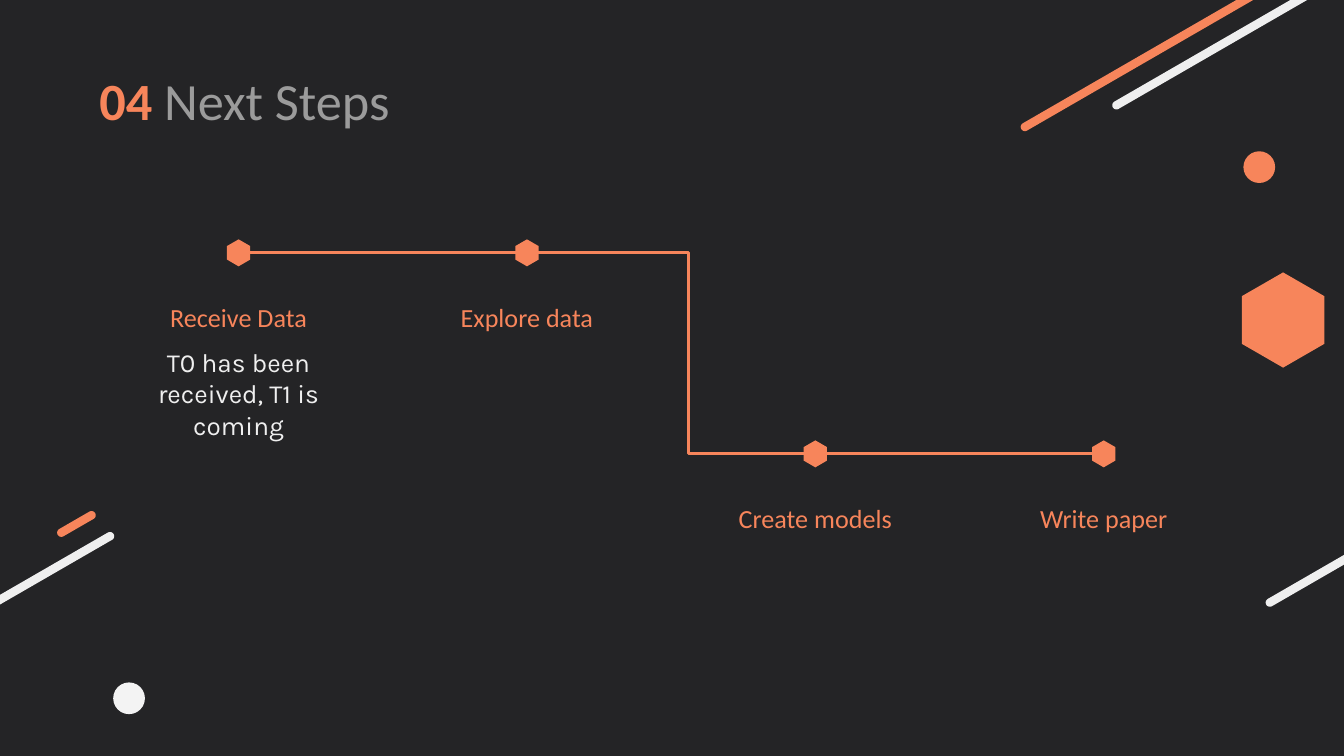
from dataclasses import dataclass
from math import cos, pi, sin

from lxml.etree import SubElement
from pptx import Presentation
from pptx.dml.color import RGBColor
from pptx.enum.shapes import MSO_CONNECTOR as Link, MSO_SHAPE as Preset
from pptx.enum.text import MSO_ANCHOR as Anchor, PP_ALIGN as Align
from pptx.oxml.ns import qn
from pptx.shapes.autoshape import Shape
from pptx.slide import Slide
from pptx.text.text import TextFrame, _Paragraph as Paragraph
from pptx.util import Cm, Pt

DARK = RGBColor(0x24, 0x24, 0x26)
ORANGE = RGBColor(0xF7, 0x85, 0x5B)
GREY = RGBColor(0x9B, 0x9B, 0x9B)
LIGHT = RGBColor(0xEF, 0xEF, 0xEF)
PALE = RGBColor(0xF3, 0xF3, 0xF3)

HEADING_FONT, BODY_FONT = "Calibri", "Karla"
UPPER, LOWER = 4.78, 8.58
FIRST_STEP, STEP_GAP = 4.51, 5.45
LABEL_WIDTH = 4.72
BAR_RADIUS = 0.04
BAR_ANGLE = -pi / 6
BAR_LENGTH = 5.45


@dataclass(frozen=True)
class Bar:
    """A slanted bar, given by its lower left end."""
    x: float
    y: float
    colour: RGBColor
    length: float = BAR_LENGTH


@dataclass(frozen=True)
class Dot:
    x: float
    y: float
    colour: RGBColor
    size: float = 0.6


@dataclass(frozen=True)
class Step:
    column: int
    y: float
    label: str
    detail: str = ""

    @property
    def x(self) -> float:
        return FIRST_STEP + self.column * STEP_GAP


BARS = (
    Bar(19.37, 2.4, ORANGE),
    Bar(21.1, 1.99, LIGHT),
    Bar(24, 11.39, LIGHT),
    Bar(-2.64, 12.86, LIGHT),
    Bar(1.16, 10.07, ORANGE, 0.66),
)
DOTS = (Dot(23.8, 3.16, ORANGE), Dot(2.44, 13.2, PALE))
STEPS = (
    Step(0, UPPER, "Receive Data", "T0 has been received, T1 is coming"),
    Step(1, UPPER, "Explore data"),
    Step(2, LOWER, "Create models"),
    Step(3, LOWER, "Write paper"),
)


def draw_outline(page: Slide, points: list[tuple[float, float]]) -> Shape:
    """Draw a closed polygon through points given in centimetres."""
    start, *rest = [(Cm(x), Cm(y)) for x, y in points]
    builder = page.shapes.build_freeform(*start)
    builder.add_line_segments(rest, close=True)
    shape = builder.convert_to_shape()
    shape.shadow.inherit = False
    return shape


def fill_plain(shape: Shape, colour: RGBColor) -> None:
    shape.fill.solid()
    shape.fill.fore_color.rgb = colour
    shape.line.fill.background()


def draw_bar(page: Slide, bar: Bar) -> None:
    far_x = bar.x + bar.length * cos(BAR_ANGLE)
    far_y = bar.y + bar.length * sin(BAR_ANGLE)
    points = []
    for x, y, turn in ((far_x, far_y, -pi / 2), (bar.x, bar.y, pi / 2)):
        for part in range(7):
            angle = BAR_ANGLE + turn + part * pi / 6
            points.append((x + BAR_RADIUS * cos(angle), y + BAR_RADIUS * sin(angle)))
    shape = draw_outline(page, points)
    shape.fill.background()
    shape.line.color.rgb = bar.colour
    shape.line.width = Pt(2.25)


def draw_dot(page: Slide, dot: Dot) -> None:
    shape = page.shapes.add_shape(
        Preset.OVAL, Cm(dot.x - dot.size / 2), Cm(dot.y - dot.size / 2),
        Cm(dot.size), Cm(dot.size))
    shape.shadow.inherit = False
    fill_plain(shape, dot.colour)


def draw_hexagon(page: Slide, x: float, y: float, width: float, height: float) -> None:
    """Draw a hexagon standing on a corner, centred on x and y."""
    corners = ((0, -2), (-2, -1), (-2, 1), (0, 2), (2, 1), (2, -1))
    points = [(x + across * width / 4, y + down * height / 4) for across, down in corners]
    fill_plain(draw_outline(page, points), ORANGE)


def draw_link(page: Slide, first: Step, last: Step, bend: float = 0.5) -> None:
    """Join two steps by an elbow that turns at the share bend of its width."""
    link = page.shapes.add_connector(
        Link.ELBOW, Cm(first.x), Cm(first.y), Cm(last.x), Cm(last.y))
    link.line.color.rgb = ORANGE
    link.line.width = Pt(1.5)
    properties = link._element.spPr
    SubElement(properties, qn("a:effectLst"))
    guides = properties.find(qn("a:prstGeom")).get_or_add_avLst()
    SubElement(guides, qn("a:gd"), name="adj1", fmla=f"val {round(bend * 100000)}")


def add_box(page: Slide, left: float, top: float, width: float, height: float,
            anchor: Anchor = Anchor.TOP) -> TextFrame:
    frame = page.shapes.add_textbox(Cm(left), Cm(top), Cm(width), Cm(height)).text_frame
    frame.word_wrap = True
    frame.vertical_anchor = anchor
    frame.margin_left = frame.margin_right = Cm(0.25)
    frame.margin_top = frame.margin_bottom = Cm(0.25)
    return frame


def write(para: Paragraph, text: str, *, size: float = 14, font: str = HEADING_FONT,
          colour: RGBColor = ORANGE, bold: bool = False) -> None:
    span = para.add_run()
    span.text = text
    span.font.size = Pt(size)
    span.font.name = font
    span.font.color.rgb = colour
    span.font.bold = bold


def write_step(page: Slide, step: Step) -> None:
    left = step.x - LABEL_WIDTH / 2
    para = add_box(page, left, step.y + 0.66, LABEL_WIDTH, 1.07).paragraphs[0]
    para.alignment = Align.CENTER
    write(para, step.label)
    if step.detail:
        para = add_box(page, left, step.y + 1.52, LABEL_WIDTH, 2.31).paragraphs[0]
        para.alignment = Align.CENTER
        para.space_after = Pt(16)
        write(para, step.detail, font=BODY_FONT, colour=LIGHT)


def main() -> None:
    deck = Presentation()
    deck.slide_width, deck.slide_height = Cm(25.4), Cm(14.29)
    page = deck.slides.add_slide(deck.slide_layouts[6])
    page.background.fill.solid()
    page.background.fill.fore_color.rgb = DARK

    for bar in BARS:
        draw_bar(page, bar)
    for dot in DOTS:
        draw_dot(page, dot)
    draw_hexagon(page, 24.25, 6.05, 1.56, 1.8)

    title = add_box(page, 1.63, 1.12, 22.56, 1.6, Anchor.BOTTOM).paragraphs[0]
    write(title, "04 ", size=28, bold=True)
    write(title, "Next Steps", size=28, colour=GREY)

    draw_link(page, STEPS[0], STEPS[2], bend=0.78)
    draw_link(page, STEPS[2], STEPS[3])
    for step in STEPS:
        write_step(page, step)
        draw_hexagon(page, step.x, step.y, 0.44, 0.51)

    deck.save("out.pptx")


if __name__ == "__main__":
    main()
